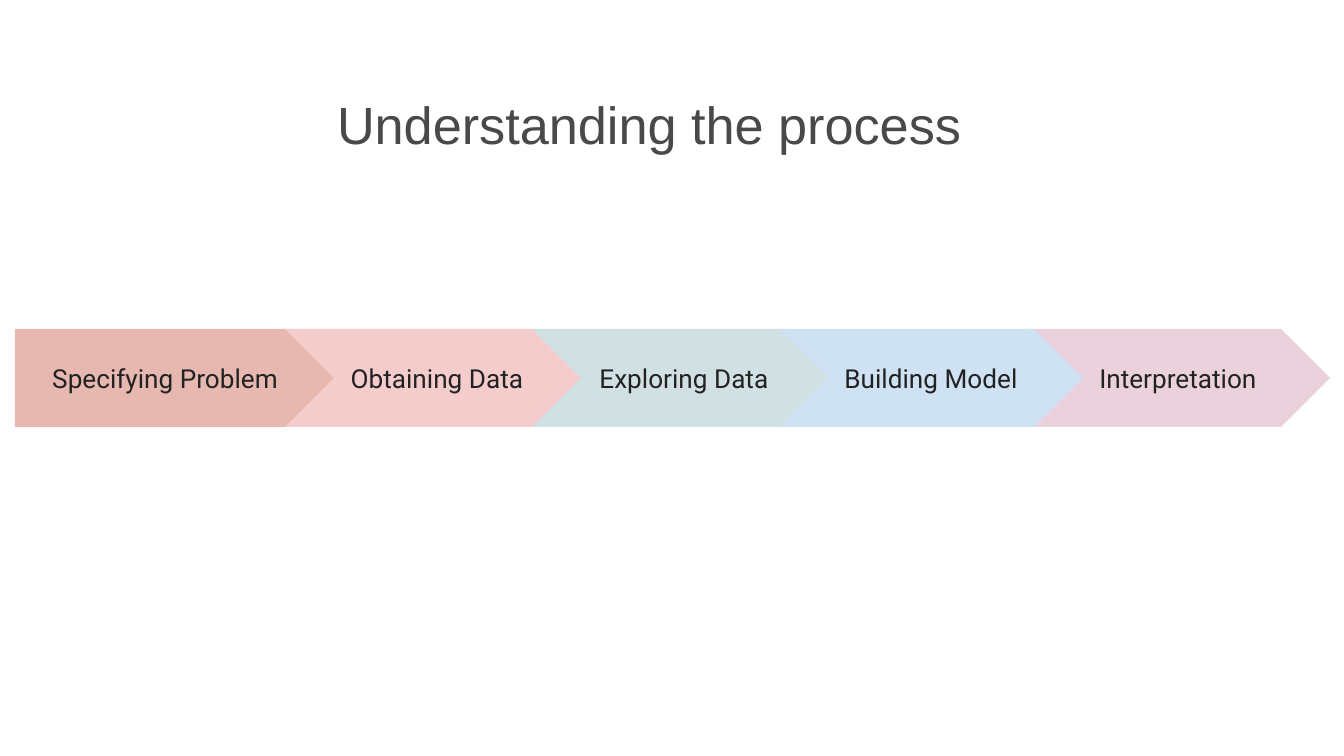
from pptx import Presentation
from pptx.dml.color import RGBColor
from pptx.enum.shapes import MSO_SHAPE
from pptx.enum.text import MSO_ANCHOR, PP_ALIGN
from pptx.util import Pt

PX = 914400 / 134.4
COLORS = {
    "title": "494949",
    "label": "222222",
    "specify": "E6B8AF",
    "obtain": "F4CCCC",
    "explore": "D0E0E3",
    "build": "CFE2F3",
    "interpret": "EAD1DC",
}
INSET = 13
BAND_TOP, BAND_HEIGHT = 329, 98
CHEVRON_LEFT, CHEVRON_WIDTH, CHEVRON_STEP = 285, 304, 247
CHEVRONS = [
    (0, "Obtaining Data", "obtain"),
    (1, "Exploring Data", "explore"),
    (3, "Interpretation", "interpret"),
    (2, "Building Model", "build"),
]


def px(length):
    return round(length * PX)


class ProcessSlide:
    """Draws the title and process steps in one shared style."""

    def __init__(self, deck):
        self.slide = deck.slides.add_slide(deck.slide_layouts[5])

    def add_text(self, shape, text, font, size, color, align, anchor, top_inset=INSET):
        frame = shape.text_frame
        frame.word_wrap = True
        frame.vertical_anchor = anchor
        frame.margin_left = frame.margin_right = frame.margin_bottom = px(INSET)
        frame.margin_top = px(top_inset)
        paragraph = frame.paragraphs[0]
        paragraph.alignment = align
        run = paragraph.add_run()
        run.text = text
        run.font.name = font
        run.font.size = Pt(size)
        run.font.color.rgb = RGBColor.from_string(COLORS[color])

    def title(self, text, left, top, width, height):
        heading = self.slide.shapes.title
        heading.left, heading.top = px(left), px(top)
        heading.width, heading.height = px(width), px(height)
        self.add_text(heading, text, "Arial", 28, "title", PP_ALIGN.LEFT, MSO_ANCHOR.TOP, 17)

    def step(self, kind, text, left, width, color):
        arrow = self.slide.shapes.add_shape(
            kind, px(left), px(BAND_TOP), px(width), px(BAND_HEIGHT)
        )
        arrow.adjustments[0] = 0.5
        arrow.shadow.inherit = False
        arrow.fill.solid()
        arrow.fill.fore_color.rgb = RGBColor.from_string(COLORS[color])
        arrow.line.fill.background()
        self.add_text(arrow, text, "Roboto", 14, "label", PP_ALIGN.CENTER, MSO_ANCHOR.MIDDLE)


def main():
    deck = Presentation()
    deck.slide_width, deck.slide_height = px(1344), px(756)
    process = ProcessSlide(deck)
    process.title("Understanding the process", 324, 75, 695, 85)
    process.step(MSO_SHAPE.PENTAGON, "Specifying Problem", 15, 325, "specify")
    for position, label, color in CHEVRONS:
        left = CHEVRON_LEFT + position * CHEVRON_STEP
        process.step(MSO_SHAPE.CHEVRON, label, left, CHEVRON_WIDTH, color)
    deck.save("out.pptx")


if __name__ == "__main__":
    main()
